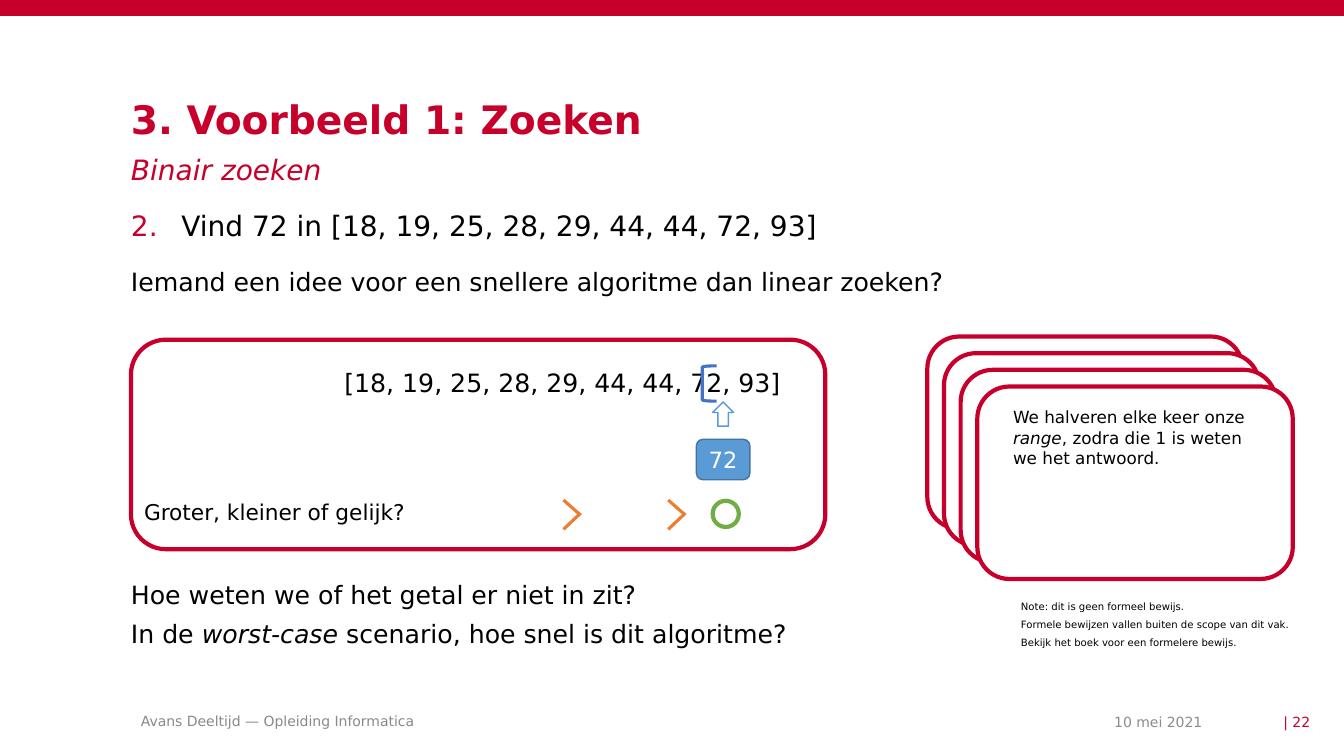
from dataclasses import dataclass

from lxml import etree
from pptx import Presentation
from pptx import util as u
from pptx.dml.color import RGBColor
from pptx.enum import shapes, text
from pptx.oxml.ns import qn
from pptx.shapes.autoshape import Shape
from pptx.slide import Slide

FONT = "DejaVu Sans"
RED = RGBColor(0xC7, 0x00, 0x2B)
WHITE = RGBColor(0xFF, 0xFF, 0xFF)
BLACK = RGBColor(0x00, 0x00, 0x00)
DATE_GREY = RGBColor(0x8C, 0x8C, 0x8C)
FOOTER_GREY = RGBColor(0x89, 0x89, 0x89)
SKY = RGBColor(0x5B, 0x9B, 0xD5)
SKY_EDGE = RGBColor(0x43, 0x73, 0x9E)
BRACKET_BLUE = RGBColor(0x44, 0x72, 0xC4)
GREEN = RGBColor(0x70, 0xAD, 0x47)
ORANGE = RGBColor(0xED, 0x7D, 0x31)

KIND = shapes.MSO_SHAPE
TOP, MIDDLE = text.MSO_ANCHOR.TOP, text.MSO_ANCHOR.MIDDLE
LEFT, CENTER, RIGHT = text.PP_ALIGN.LEFT, text.PP_ALIGN.CENTER, text.PP_ALIGN.RIGHT


@dataclass(frozen=True)
class Area:
    """A rectangle on the slide, in centimetres."""
    left: float
    top: float
    width: float
    height: float

    def lengths(self) -> tuple[u.Cm, ...]:
        return tuple(u.Cm(n) for n in (self.left, self.top, self.width, self.height))


@dataclass(frozen=True)
class Figure:
    kind: KIND
    area: Area
    fill: RGBColor | None = None
    line: RGBColor | None = None
    weight: float = 3


@dataclass(frozen=True)
class Label:
    area: Area
    content: str
    size: float = 18
    color: RGBColor = BLACK
    align: text.PP_ALIGN = LEFT
    anchor: text.MSO_ANCHOR = TOP
    inset: bool = False
    after: float = 6
    spacing: float = 1.0


def write(box: Shape, content: str, *, size: float, color: RGBColor = BLACK,
          bold: bool = False, italic: bool = False, align: text.PP_ALIGN = LEFT,
          anchor: text.MSO_ANCHOR = TOP, inset: bool = False,
          after: float = 0, spacing: float = 1.0) -> None:
    """Write one paragraph per line; words between asterisks turn italic."""
    frame = box.text_frame
    frame.word_wrap = True
    frame.auto_size = text.MSO_AUTO_SIZE.NONE
    frame.vertical_anchor = anchor
    frame.margin_left = frame.margin_right = u.Cm(0.25 if inset else 0)
    frame.margin_top = frame.margin_bottom = u.Cm(0.13 if inset else 0)
    for index, line in enumerate(content.split("\n")):
        para = frame.add_paragraph() if index else frame.paragraphs[0]
        para.alignment = align
        para.line_spacing = spacing
        para.space_before = u.Pt(0)
        para.space_after = u.Pt(after)
        for part, words in enumerate(line.split("*")):
            span = para.add_run()
            span.text = words
            span.font.name = FONT
            span.font.size = u.Pt(size)
            span.font.bold = bold
            span.font.italic = italic or part % 2 == 1
            span.font.color.rgb = color


def place(box: Shape, area: Area) -> None:
    box.left, box.top, box.width, box.height = area.lengths()


def set_bullet(box: Shape, *, start: int | None = None) -> None:
    """Number the first paragraph from start, or take its bullet away."""
    props = box.text_frame.paragraphs[0]._p.get_or_add_pPr()
    indent = u.Cm(1.27 if start else 0)
    props.set("marL", str(indent))
    props.set("indent", str(-indent))
    if start is None:
        etree.SubElement(props, qn("a:buNone"))
        return
    tint = etree.SubElement(props, qn("a:buClr"))
    etree.SubElement(tint, qn("a:srgbClr"), val=str(RED))
    etree.SubElement(props, qn("a:buFont"), typeface=FONT)
    etree.SubElement(props, qn("a:buAutoNum"), type="arabicPeriod", startAt=str(start))


def draw(page: Slide, figure: Figure) -> Shape:
    shape = page.shapes.add_shape(figure.kind, *figure.area.lengths())
    shape.shadow.inherit = False
    if figure.fill is None:
        shape.fill.background()
    else:
        shape.fill.solid()
        shape.fill.fore_color.rgb = figure.fill
    if figure.line is None:
        shape.line.fill.background()
    else:
        shape.line.color.rgb = figure.line
        shape.line.width = u.Pt(figure.weight)
    return shape


def add_label(page: Slide, label: Label) -> None:
    box = page.shapes.add_textbox(*label.area.lengths())
    write(box, label.content, size=label.size, color=label.color, align=label.align,
          anchor=label.anchor, inset=label.inset, after=label.after, spacing=label.spacing)


def draw_greater_sign(page: Slide, left: float) -> None:
    tip = left + 0.43
    for x1, y1, x2, y2 in ((left, 12.6, tip, 12.98), (tip, 12.93, left, 13.34)):
        stroke = page.shapes.add_connector(
            shapes.MSO_CONNECTOR.STRAIGHT, u.Cm(x1), u.Cm(y1), u.Cm(x2), u.Cm(y2))
        stroke.line.color.rgb = ORANGE
        stroke.line.width = u.Pt(2.25)
        etree.SubElement(stroke._element.spPr, qn("a:effectLst"))


LABELS = (
    Label(Area(22.68, 17.88, 7.62, 0.61), "10 mei 2021", 10, DATE_GREY, RIGHT, MIDDLE),
    Label(Area(30.76, 17.88, 2.26, 0.61), "| 22", 10, RED, RIGHT, MIDDLE),
    Label(Area(3.3, 17.86, 17, 0.61), "Avans Deeltijd — Opleiding Informatica", 10,
          FOOTER_GREY, anchor=MIDDLE, inset=True),
    Label(Area(8.43, 9.12, 12.14, 1.02), "[18, 19, 25, 28, 29, 44, 44, 72, 93]",
          inset=True, after=0),
    Label(Area(3.63, 12.7, 7, 0.58), "Groter, kleiner of gelijk?", 15.5, spacing=0.8),
    Label(Area(3.3, 6.71, 26.62, 1.04),
          "Iemand een idee voor een snellere algoritme dan linear zoeken?"),
    Label(Area(3.3, 14.61, 26.62, 2.03),
          "Hoe weten we of het getal er niet in zit?\n"
          "In de *worst-case *scenario, hoe snel is dit algoritme?"),
    Label(Area(25.53, 10.26, 6.5, 2.03),
          "We halveren elke keer onze *range*, zodra die 1 is weten we het antwoord.", 12),
    Label(Area(25.73, 15.19, 6.85, 1.19),
          "Note: dit is geen formeel bewijs.\n"
          "Formele bewijzen vallen buiten de scope van dit vak.\n"
          "Bekijk het boek voor een formelere bewijs.", 7.2, spacing=0.8),
)
CARDS = tuple(
    Figure(KIND.ROUNDED_RECTANGLE, Area(23.37 + 0.42 * step, 8.48 + 0.42 * step, 7.95, 4.85),
           WHITE, RED)
    for step in range(4)
)
BACKDROP = (
    Figure(KIND.RECTANGLE, Area(0, 0, 33.87, 0.4), RED),
    Figure(KIND.ROUNDED_RECTANGLE, Area(3.3, 8.56, 17.5, 5.28), WHITE, RED),
    Figure(KIND.UP_ARROW, Area(17.96, 10.13, 0.53, 0.61), WHITE, SKY, 1),
    *CARDS,
)
MARKS = (
    Figure(KIND.LEFT_BRACKET, Area(17.7, 9.22, 0.36, 0.89), None, BRACKET_BLUE, 2.25),
    Figure(KIND.OVAL, Area(17.96, 12.62, 0.66, 0.66), None, GREEN),
)
TARGET = Figure(KIND.ROUNDED_RECTANGLE, Area(17.55, 11.07, 1.35, 1.02), SKY, SKY_EDGE, 1)


def main() -> None:
    deck = Presentation()
    deck.slide_width, deck.slide_height = u.Cm(33.87), u.Cm(19.05)
    page = deck.slides.add_slide(deck.slide_layouts.get_by_name("Two Content"))

    title, task, subtitle = page.placeholders
    place(title, Area(3.3, 2.54, 21.5, 1))
    write(title, "3. Voorbeeld 1: Zoeken", size=28, color=RED, bold=True, spacing=0.9)
    place(task, Area(3.3, 5.26, 27, 1))
    set_bullet(task, start=2)
    write(task, "Vind 72 in [18, 19, 25, 28, 29, 44, 44, 72, 93]", size=20, after=6)
    place(subtitle, Area(3.3, 3.84, 21.5, 1))
    set_bullet(subtitle)
    write(subtitle, "Binair zoeken", size=20, color=RED, italic=True, after=6)

    for figure in BACKDROP:
        draw(page, figure)
    write(draw(page, TARGET), "72", size=16, color=WHITE, align=CENTER, anchor=MIDDLE, inset=True)
    for label in LABELS:
        add_label(page, label)
    for mark in MARKS:
        draw(page, mark)
    for left in (14.2, 16.84):
        draw_greater_sign(page, left)
    deck.save("out.pptx")


if __name__ == "__main__":
    main()
